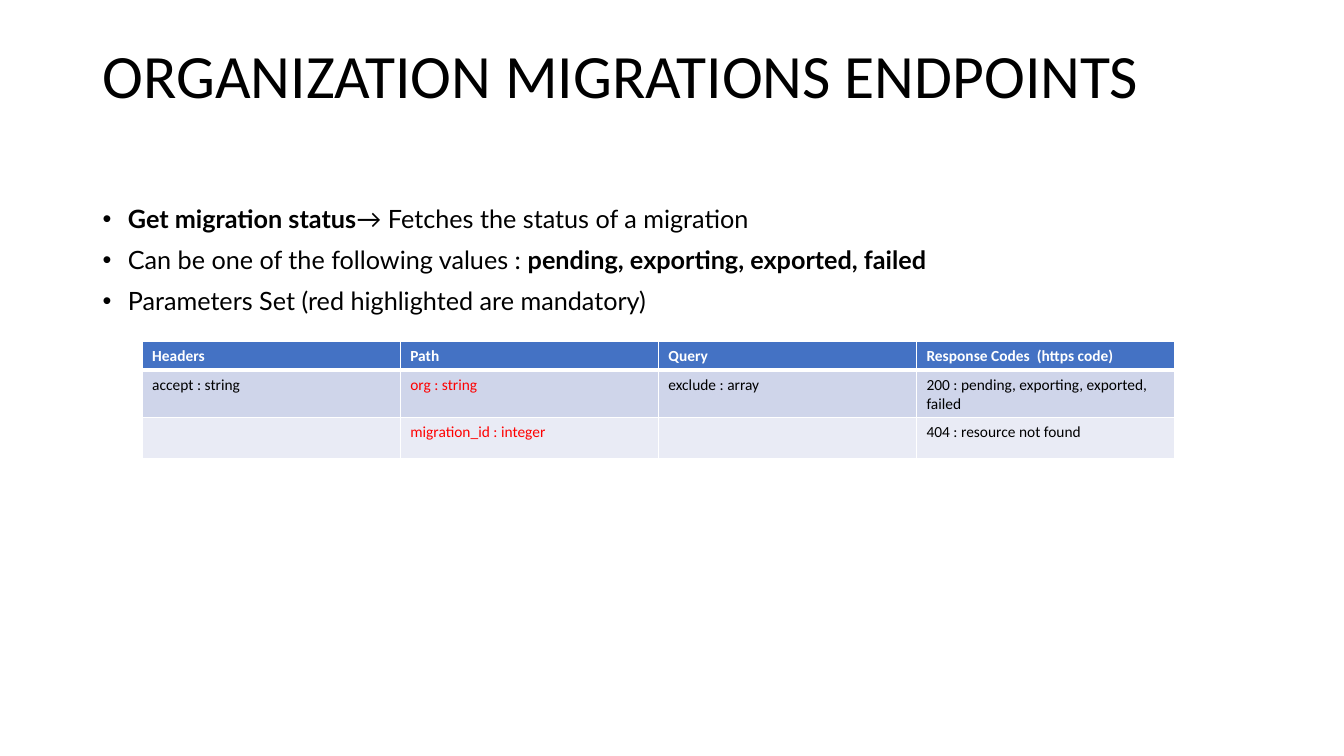
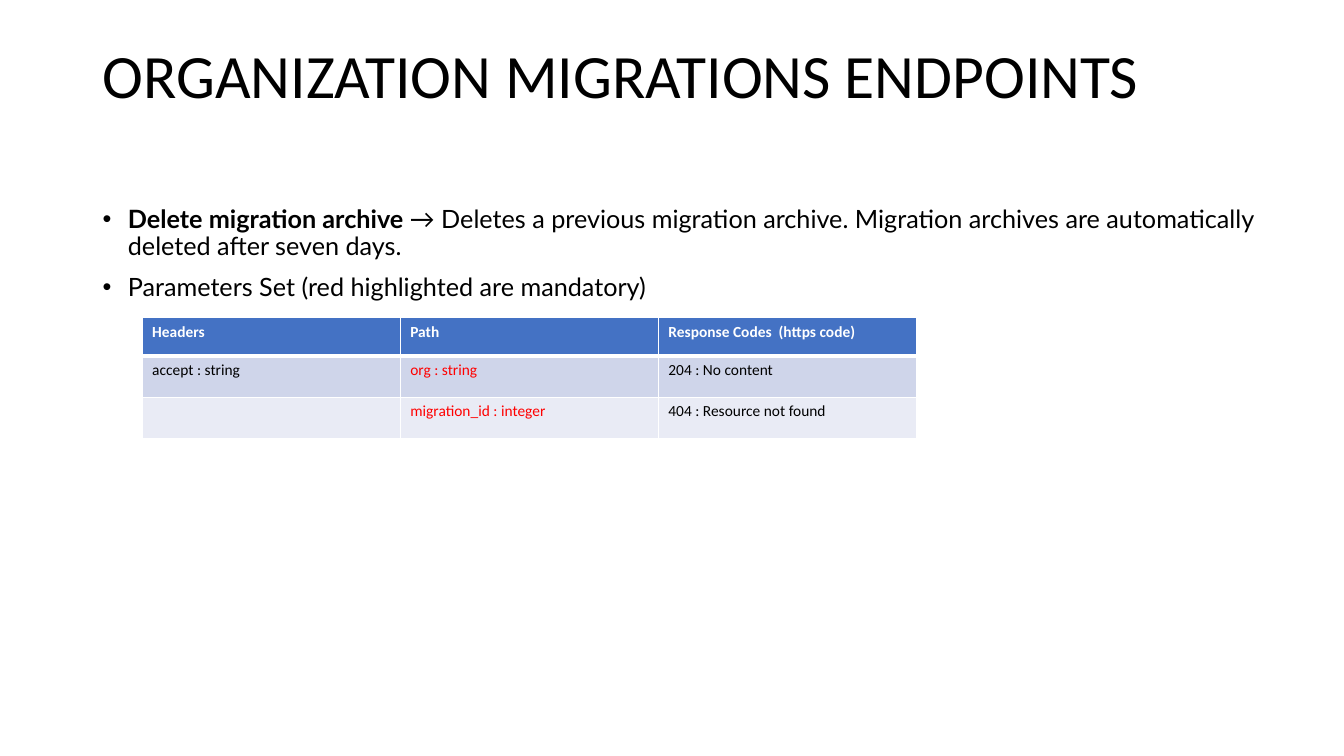
"""Build two slides on the organization migrations endpoints."""
from lxml.etree import SubElement
from pptx import Presentation
from pptx.dml.color import RGBColor
from pptx.enum.text import MSO_ANCHOR
from pptx.oxml.ns import qn
from pptx.util import Inches, Pt

BLACK = RGBColor(0x00, 0x00, 0x00)
WHITE = RGBColor(0xFF, 0xFF, 0xFF)
RED = RGBColor(0xFF, 0x00, 0x00)
HEADER_BLUE = RGBColor(0x44, 0x72, 0xC4)
BANDS = [RGBColor(0xCF, 0xD5, 0xEA), RGBColor(0xE9, 0xEB, 0xF5)]
TITLE = "ORGANIZATION MIGRATIONS ENDPOINTS"
PARAMETERS = [("Parameters Set (red highlighted are mandatory)", False)]
MANDATORY = {"org : string", "migration_id : integer"}
COLUMN_WIDTH = Inches(2.56)

ENDPOINTS = [
    {
        "bullets": [
            [("Get migration status", True), ("→ Fetches the status of a migration", False)],
            [("Can be one of the following values : ", False),
             ("pending, exporting, exported, failed", True)],
            PARAMETERS,
        ],
        "table_top": 3.39,
        "row_heights": [0.14, 0.41, 0.41],
        "rows": [
            ["Headers", "Path", "Query", "Response Codes  (https code)"],
            ["accept : string", "org : string", "exclude : array",
             "200 : pending, exporting, exported, failed"],
            ["", "migration_id : integer", "", "404 : resource not found"],
        ],
    },
    {
        "bullets": [
            [("Delete migration archive ", True),
             ("→ Deletes a previous migration archive. Migration archives are "
              "automatically deleted after seven days.", False)],
            PARAMETERS,
        ],
        "table_top": 3.15,
        "row_heights": [0.38, 0.41, 0.41],
        "rows": [
            ["Headers", "Path", "Response Codes  (https code)"],
            ["accept : string", "org : string", "204 : No content"],
            ["", "migration_id : integer", "404 : Resource not found"],
        ],
    },
]


def style_run(run, font_name, size, color, bold=False):
    run.font.name = font_name
    run.font.size = Pt(size)
    run.font.color.rgb = color
    run.font.bold = bold


def add_border(cell, side, width):
    line = SubElement(cell._tc.get_or_add_tcPr(), qn(f"a:ln{side}"), w=str(Pt(width)))
    fill = SubElement(line, qn("a:solidFill"))
    SubElement(fill, qn("a:srgbClr"), val=str(WHITE))


prs = Presentation()
prs.slide_width = Inches(13.33)
prs.slide_height = Inches(7.5)

for endpoint in ENDPOINTS:
    slide = prs.slides.add_slide(prs.slide_layouts[6])

    title = slide.shapes.add_textbox(
        Inches(0.92), Inches(0.4), Inches(11.5), Inches(1.45)).text_frame
    title.word_wrap = True
    title.vertical_anchor = MSO_ANCHOR.TOP
    title.text = TITLE
    title.paragraphs[0].line_spacing = 0.9
    style_run(title.paragraphs[0].runs[0], "Calibri", 44, BLACK)

    body = slide.shapes.add_textbox(
        Inches(0.92), Inches(2), Inches(11.74), Inches(5.44)).text_frame
    body.word_wrap = True
    for index, bullet in enumerate(endpoint["bullets"]):
        paragraph = body.add_paragraph() if index else body.paragraphs[0]
        properties = paragraph._p.get_or_add_pPr()
        properties.set("marL", str(Inches(0.25)))
        properties.set("indent", str(-Inches(0.25)))
        SubElement(properties, qn("a:buFont"), typeface="Arial")
        SubElement(properties, qn("a:buChar"), char="•")
        paragraph.line_spacing = 0.9
        paragraph.space_before = Pt(10 if index else 0)
        for text, bold in bullet:
            run = paragraph.add_run()
            run.text = text
            style_run(run, "Lato", 18, BLACK, bold)

    rows = endpoint["rows"]
    heights = [Inches(height) for height in endpoint["row_heights"]]
    parameters = slide.shapes.add_table(
        len(rows), len(rows[0]), Inches(1.41), Inches(endpoint["table_top"]),
        COLUMN_WIDTH * len(rows[0]), sum(heights)).table
    for column in parameters.columns:
        column.width = COLUMN_WIDTH
    for row_index, row in enumerate(rows):
        parameters.rows[row_index].height = heights[row_index]
        is_header = row_index == 0
        for column_index, text in enumerate(row):
            cell = parameters.cell(row_index, column_index)
            add_border(cell, "L", 1)
            add_border(cell, "R", 1)
            add_border(cell, "T", 3 if row_index == 1 else 1)
            add_border(cell, "B", 3 if is_header else 1)
            cell.fill.solid()
            cell.fill.fore_color.rgb = HEADER_BLUE if is_header else BANDS[row_index - 1]
            cell.text_frame.text = text
            color = WHITE if is_header else RED if text in MANDATORY else BLACK
            for run in cell.text_frame.paragraphs[0].runs:
                style_run(run, "Calibri", 11, color, is_header)

prs.save("out.pptx")
